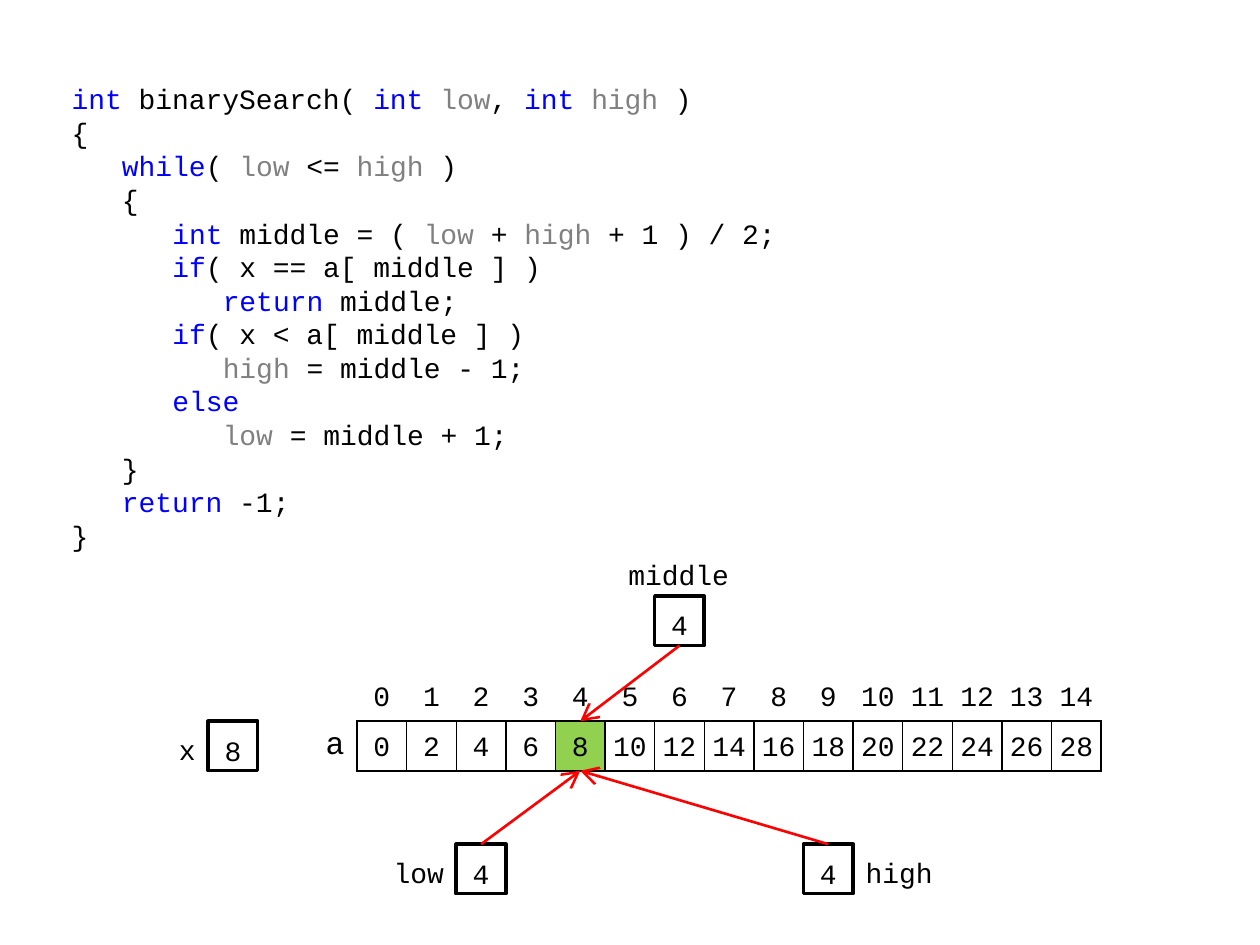
from lxml.etree import SubElement
from pptx import Presentation
from pptx.dml.color import RGBColor
from pptx.enum.shapes import MSO_CONNECTOR, MSO_SHAPE
from pptx.enum.text import MSO_ANCHOR, PP_ALIGN
from pptx.oxml.ns import qn
from pptx.util import Inches, Pt

COLORS = {"text": "000000", "keyword": "0000FF", "bound": "808080",
          "found": "92D050", "arrow": "FF0000", "paper": "FFFFFF"}
WORD_COLORS = {**dict.fromkeys(("int", "while", "if", "else", "return"), "keyword"),
               **dict.fromkeys(("low", "high"), "bound")}
CODE = [
    (0, "int| binarySearch( |int| |low|, |int| |high| )"),
    (0, "{"),
    (1, "while|( |low| <= |high| )"),
    (1, "{"),
    (2, "int| middle = ( |low| + |high| + 1 ) / 2;"),
    (2, "if|( x == a[ middle ] )"),
    (3, "return| middle;"),
    (2, "if|( x < a[ middle ] )"),
    (3, "high| = middle - 1;"),
    (2, "else"),
    (3, "low| = middle + 1;"),
    (1, "}"),
    (1, "return| -1;"),
    (0, "}"),
]
COUNT = 15
FOUND = 4
CELL = 6.3 / (COUNT + 1)
ARRAY_LEFT, ARRAY_TOP = 2.44, 5.33
NO_STYLE = "{2D5ABB26-0587-4C30-8999-92F81FD0307C}"


def color(name):
    """Return the named colour."""
    return RGBColor.from_string(COLORS[name])


def write(para, text, size=16, align=PP_ALIGN.LEFT, spacing=1.2, before=0, indent=0, colored=False):
    """Write text; in coloured text, spans parted by bars take the colour of their word."""
    para.alignment = align
    para.line_spacing = spacing
    para.space_before = Pt(before)
    properties = para._p.get_or_add_pPr()
    properties.set("marL", str(Inches(indent)))
    properties.set("indent", "0")
    for part in text.split("|"):
        span = para.add_run()
        span.text = part
        span.font.name = "Courier New"
        span.font.size = Pt(size)
        span.font.color.rgb = color(WORD_COLORS.get(part, "text") if colored else "text")


def set_margins(target, left, top, right, bottom):
    """Set the inner margins of a frame or cell."""
    target.margin_left, target.margin_top = Inches(left), Inches(top)
    target.margin_right, target.margin_bottom = Inches(right), Inches(bottom)


def add_code(page, left, top, width, height):
    """Place the listing, each level indented by three characters."""
    frame = page.shapes.add_textbox(Inches(left), Inches(top), Inches(width), Inches(height)).text_frame
    frame.word_wrap = True
    set_margins(frame, 0.1, 0.05, 0.1, 0.05)
    for number, (level, line) in enumerate(CODE):
        para = frame.add_paragraph() if number else frame.paragraphs[0]
        write(para, line, spacing=Pt(19.2), indent=level * 0.4, colored=True)


def set_borders(cell, **widths):
    """Draw the cell borders given by side and width in points."""
    for side in "LRTB":
        if side in widths:
            line = SubElement(cell._tc.get_or_add_tcPr(), qn(f"a:ln{side}"), w=str(Pt(widths[side])))
            fill = SubElement(line, qn("a:solidFill"))
            SubElement(fill, qn("a:srgbClr"), val=COLORS["text"])


def add_array(page, left, top):
    """Place the array with its indices above its values."""
    table = page.shapes.add_table(2, COUNT + 1, Inches(left), Inches(top),
                                  Inches(CELL * (COUNT + 1)), Inches(CELL * 2)).table
    table.first_row = table.horz_banding = False
    table._tbl.tblPr.find(qn("a:tableStyleId")).text = NO_STYLE
    for cell in table.iter_cells():
        set_margins(cell, 0, 0, 0, 0)
    name = table.cell(1, 0)
    set_margins(name, 0.1, 0, 0.1, 0)
    write(name.text_frame.paragraphs[0], "a", size=18, align=PP_ALIGN.RIGHT, before=3.6)
    set_borders(name, R=1.5)
    for index in range(COUNT):
        header, element = table.cell(0, index + 1), table.cell(1, index + 1)
        for cell, value in ((header, index), (element, index * 2)):
            cell.vertical_anchor = MSO_ANCHOR.MIDDLE
            write(cell.text_frame.paragraphs[0], str(value), align=PP_ALIGN.CENTER, before=3.2)
        set_borders(header, B=1.5)
        set_borders(element, L=1 if index else 1.5, R=1 if index < COUNT - 1 else 1.5, T=1.5, B=1.5)
        if index == FOUND:
            element.fill.solid()
            element.fill.fore_color.rgb = color("found")


def add_variable(page, name, value, left, top, label_box, align):
    """Place a value box and its name, set at an offset and width from the box."""
    box = page.shapes.add_shape(MSO_SHAPE.RECTANGLE, Inches(left), Inches(top), Inches(CELL), Inches(CELL))
    box.shadow.inherit = False
    box.fill.solid()
    box.fill.fore_color.rgb = color("paper")
    box.line.color.rgb = color("text")
    box.line.width = Pt(2)
    set_margins(box.text_frame, 0.04, 0.05, 0.04, 0.04)
    across, down, width = label_box
    label = page.shapes.add_textbox(Inches(left + across), Inches(top + down), Inches(width), Inches(CELL))
    label.text_frame.word_wrap = False
    set_margins(label.text_frame, 0.1 if align == PP_ALIGN.LEFT else 0, 0.05,
                0.1 if align == PP_ALIGN.RIGHT else 0, 0.05)
    for shape, text, side in ((box, value, PP_ALIGN.CENTER), (label, name, align)):
        shape.text_frame.vertical_anchor = MSO_ANCHOR.MIDDLE
        write(shape.text_frame.paragraphs[0], text, align=side)
    return box


def add_arrow(page, box, site, end_y):
    """Draw an arrow from a box to the found element."""
    end_x = Inches(ARRAY_LEFT + (FOUND + 1.5) * CELL)
    arrow = page.shapes.add_connector(MSO_CONNECTOR.STRAIGHT, 0, 0, end_x, Inches(end_y))
    arrow.begin_connect(box, site)
    arrow.line.color.rgb = color("arrow")
    arrow.line.width = Pt(1.5)
    SubElement(arrow.line._get_or_add_ln(), qn("a:tailEnd"), type="arrow", w="lg", len="lg")
    SubElement(arrow._element.spPr, qn("a:effectLst"))


def build():
    """Build and save the binary search slide."""
    deck = Presentation()
    deck.slide_width, deck.slide_height = Inches(10), Inches(7.5)
    page = deck.slides.add_slide(deck.slide_layouts[6])
    add_code(page, 0.47, 0.6, 6.1, 3.94)
    add_array(page, ARRAY_LEFT, ARRAY_TOP)
    values_top, values_bottom = ARRAY_TOP + CELL, ARRAY_TOP + 2 * CELL
    variables = [
        ("middle", "4", 7, 4.73, (-0.4, -CELL, 1.18), PP_ALIGN.CENTER, (2, values_top)),
        ("low", "4", 3, 6.7, (-0.59, 0, 0.59), PP_ALIGN.RIGHT, (0, values_bottom)),
        ("high", "4", 10, 6.7, (CELL, 0, 0.79), PP_ALIGN.LEFT, (0, values_bottom)),
        ("x", "8", -2, values_top, (-CELL, 0, CELL), PP_ALIGN.RIGHT, None),
    ]
    for name, value, column, top, label_box, align, target in variables:
        box = add_variable(page, name, value, ARRAY_LEFT + column * CELL, top, label_box, align)
        if target:
            add_arrow(page, box, *target)
    deck.save("out.pptx")


build()
